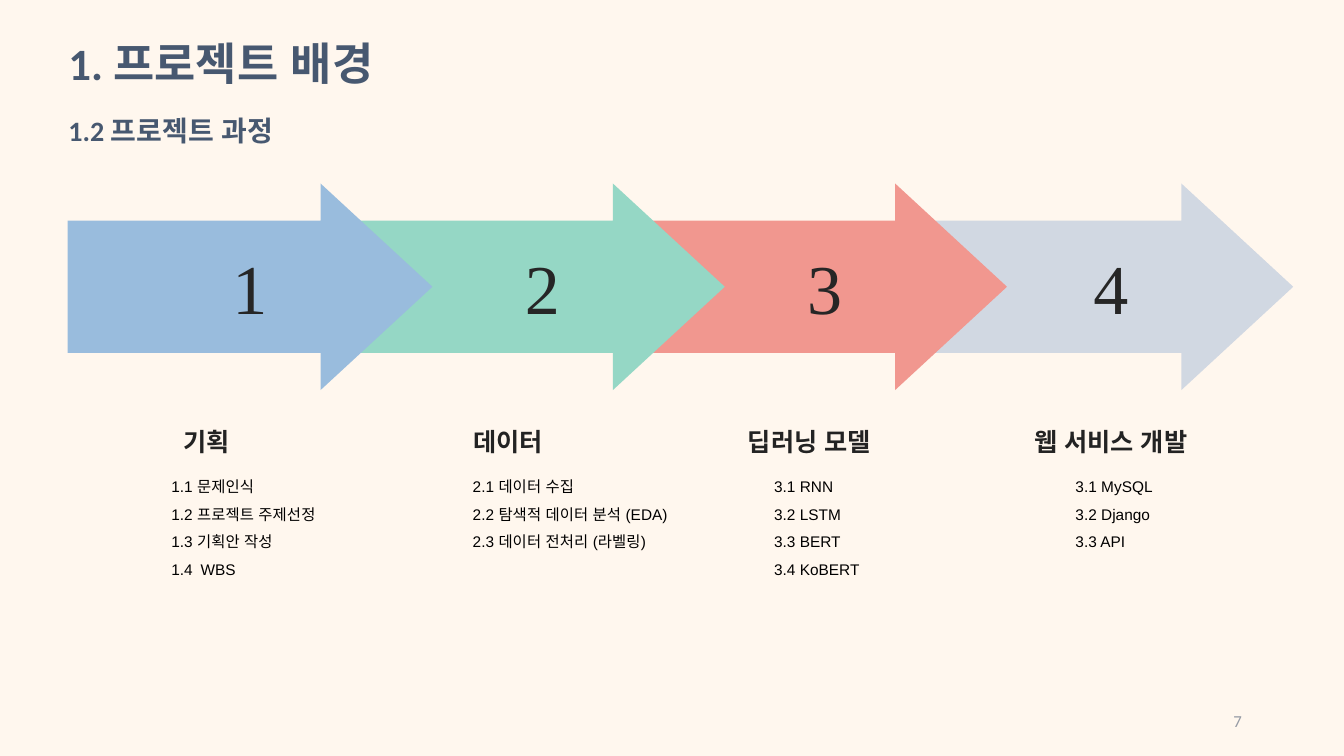
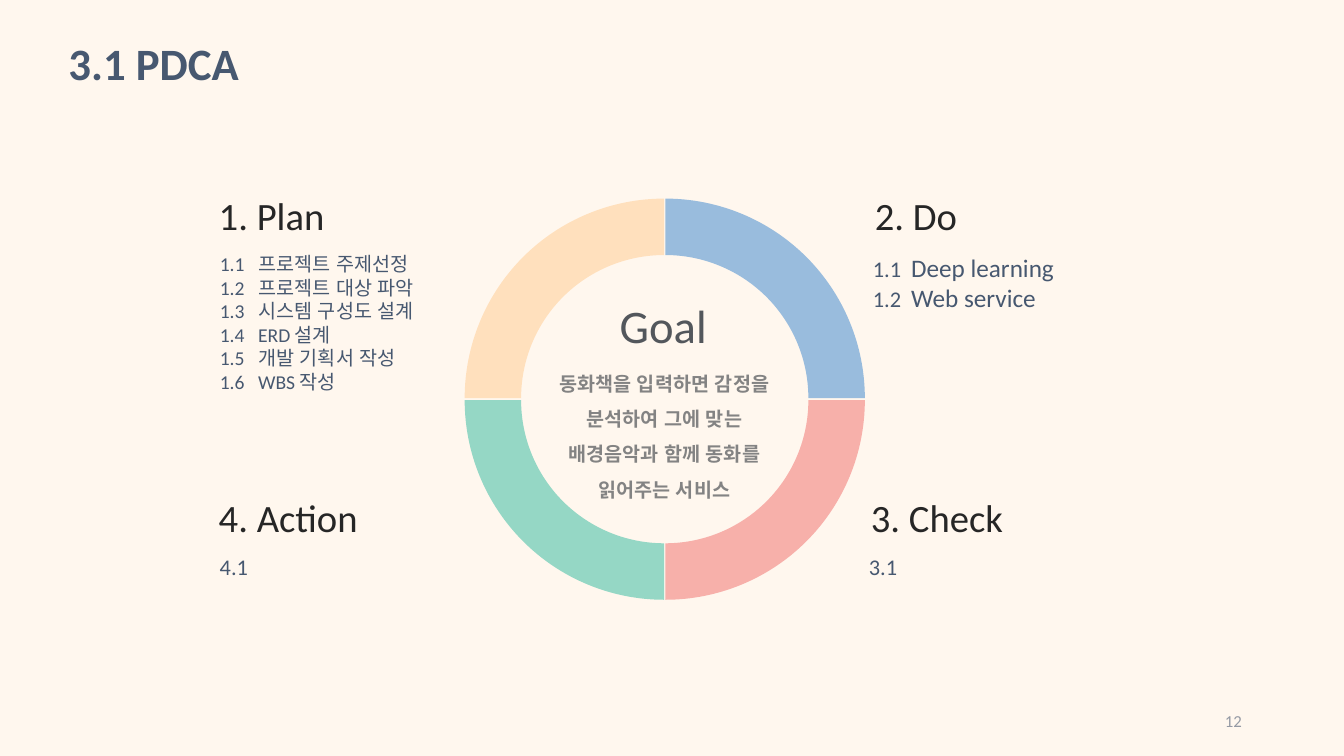
from math import cos, pi, sin, tan

from lxml.etree import SubElement
from pptx import Presentation
from pptx.dml.color import RGBColor
from pptx.enum.text import MSO_ANCHOR, PP_ALIGN
from pptx.oxml.ns import qn
from pptx.util import Inches, Pt

# Shared look
CREAM, NAVY, DARK, BLACK = "FFF7EE", "475870", "262626", "000000"
HEADING, GREY, PAGE_GREY = "232323", "838383", "959AA4"
BLUE, GREEN, CORAL, SILVER = "99BCDD", "95D7C5", "F1978F", "D1D8E2"
PINK, PEACH = "F7B0AA", "FFE0BD"
GOAL_STOPS = [(0.21, "53575C"), (0.88, "C5C7CA")]
KOREAN_FONT = "Arial"

# Process slide: arrow left, colour, heading, list width, steps
PHASES = [
    (0.67, BLUE, "기획", 2.76,
     ["1.1 문제인식", "1.2 프로젝트 주제선정", "1.3 기획안 작성", "1.4\tWBS"]),
    (3.57, GREEN, "데이터", 3.12,
     ["2.1 데이터 수집", "2.2 탐색적 데이터 분석 (EDA)", "2.3 데이터 전처리 (라벨링)"]),
    (6.37, CORAL, "딥러닝 모델", 2.76,
     ["3.1 RNN", "3.2 LSTM", "3.3 BERT", "3.4 KoBERT"]),
    (9.21, SILVER, "웹 서비스 개발", 2.76,
     ["3.1 MySQL", "3.2 Django", "3.3 API"]),
]
ARROW_TOP, ARROW_W, ARROW_H = 1.82, 3.62, 2.05
SHAFT_W, SHAFT_INSET = 2.51, 0.37
COLUMN_LEFT, COLUMN_W, COLUMN_PITCH = 0.67, 2.76, 2.99

# PDCA slide: heading, heading left and top, list box, size, items
STAGES = [
    ("1. Plan", 2.14, 1.96, (2.14, 2.46, 2.39, 1.49), 14,
     ["1.1\t프로젝트 주제선정", "1.2\t프로젝트 대상 파악", "1.3\t시스템 구성도 설계",
      "1.4\tERD 설계", "1.5\t개발 기획서 작성", "1.6\tWBS 작성"]),
    ("2. Do", 8.65, 1.96, (8.62, 2.46, 2.43, 1.02), 16,
     [[("1.1\t", 16), ("Deep learning", 18)], [("1.2\t", 16), ("Web service", 18)]]),
    ("3. Check", 8.61, 4.96, (8.58, 5.45, 2.43, 1.02), 16, ["3.1"]),
    ("4. Action", 2.14, 4.96, (2.14, 5.45, 2.43, 1.02), 16, ["4.1"]),
]
GOAL = "동화책을 입력하면 감정을 분석하여 그에 맞는 배경음악과 함께 동화를 읽어주는 서비스"
# Ring quarters: corner nearest the centre, start in quarter turns, colour
QUARTERS = [
    (6.59, 3.95, 2, PEACH),
    (6.6, 3.95, 3, BLUE),
    (6.6, 3.97, 0, PINK),
    (6.59, 3.97, 1, GREEN),
]
OUTER_R, INNER_R = 1.98, 1.42


def rgb(value):
    return RGBColor.from_string(value)


def write(sp, paras, size, color, font="Calibri", bold=False, inset=None,
          align=PP_ALIGN.LEFT, anchor=MSO_ANCHOR.TOP, spacing=None, tabs=()):
    """Fill a shape; a paragraph is a string or a list of (text, size) runs."""
    tf = sp.text_frame
    tf.word_wrap = True
    tf.vertical_anchor = anchor
    if inset is not None:
        tf.margin_left = tf.margin_right = Inches(inset)
        tf.margin_top = tf.margin_bottom = Inches(inset)
    for i, para in enumerate(paras):
        p = tf.add_paragraph() if i else tf.paragraphs[0]
        p.alignment = align
        if spacing:
            p.line_spacing = spacing
        if tabs:
            stops = SubElement(p._p.get_or_add_pPr(), qn("a:tabLst"))
            for tab in tabs:
                SubElement(stops, qn("a:tab"), pos=str(Inches(tab)), algn="l")
        for text, run_size in [(para, size)] if isinstance(para, str) else para:
            r = p.add_run()
            r.text = text
            r.font.name, r.font.size, r.font.bold = font, Pt(run_size), bold
            r.font.color.rgb = rgb(color)
            SubElement(r._r.get_or_add_rPr(), qn("a:ea"), typeface=KOREAN_FONT)
    return sp


def add_text(s, box, paras, size, color, **style):
    sp = s.shapes.add_textbox(*map(Inches, box))
    return write(sp, paras, size, color, **style)


def add_outline(s, points, color):
    points = [(Inches(x), Inches(y)) for x, y in points]
    builder = s.shapes.build_freeform(*points[0])
    builder.add_line_segments(points[1:], close=True)
    sp = builder.convert_to_shape()
    sp.shadow.inherit = False
    sp.fill.solid()
    sp.fill.fore_color.rgb = rgb(color)
    sp.line.fill.background()
    return sp


def add_slide(prs, title, page):
    s = prs.slides.add_slide(prs.slide_layouts[6])
    s.background.fill.solid()
    s.background.fill.fore_color.rgb = rgb(CREAM)
    add_text(s, (0.58, 0.37, 5.02, 0.71), [title], 32, NAVY, bold=True, spacing=0.9)
    add_text(s, (9.42, 6.95, 3, 0.4), [page], 12, PAGE_GREY,
             align=PP_ALIGN.RIGHT, anchor=MSO_ANCHOR.MIDDLE)
    return s


def arrow_points(left):
    neck, tip = left + SHAFT_W, left + ARROW_W
    top, bottom = ARROW_TOP, ARROW_TOP + ARROW_H
    upper, lower = top + SHAFT_INSET, bottom - SHAFT_INSET
    return [(neck, top), (neck, upper), (left, upper), (left, lower),
            (neck, lower), (neck, bottom), (tip, (top + bottom) / 2)]


def arc_points(cx, cy, radius, start, sweep):
    """Start point, then two cubic curves of three points each."""
    step = sweep / 2
    pull = 4 / 3 * tan(step / 4)
    points = [(cx + radius * cos(start), cy + radius * sin(start))]
    for a in (start, start + step):
        b = a + step
        for c, d in ((cos(a) - pull * sin(a), sin(a) + pull * cos(a)),
                     (cos(b) + pull * sin(b), sin(b) - pull * cos(b)),
                     (cos(b), sin(b))):
            points.append((cx + radius * c, cy + radius * d))
    return points


def add_quarter(s, cx, cy, turns, color):
    start = turns * pi / 2
    outer = arc_points(cx, cy, OUTER_R, start, pi / 2)
    inner = arc_points(cx, cy, INNER_R, start + pi / 2, -pi / 2)
    sp = add_outline(s, outer + inner, color)
    # Join each three points of an arc into one curve
    lines = list(sp._element.iter(qn("a:lnTo")))
    for first in (0, 3, 7, 10):
        trio = lines[first:first + 3]
        trio[0].tag = qn("a:cubicBezTo")
        for line in trio[1:]:
            trio[0].append(line[0])
            line.getparent().remove(line)


def build_process(prs):
    s = add_slide(prs, "1. 프로젝트 배경", "7")
    add_text(s, (0.58, 1.08, 9.02, 0.44), ["1.2 프로젝트 과정"], 20, NAVY, bold=True)
    # Arrows overlap, so the last goes at the back
    for number, (left, color, *_) in reversed(list(enumerate(PHASES, 1))):
        sp = add_outline(s, arrow_points(left), color)
        write(sp, [str(number)], 50, DARK, font="Times New Roman", inset=0.03,
              align=PP_ALIGN.CENTER, anchor=MSO_ANCHOR.MIDDLE)
    # Headings and steps
    for i, (_, _, heading, width, steps) in enumerate(PHASES):
        x = COLUMN_LEFT + i * COLUMN_PITCH
        add_text(s, (x, 4.19, COLUMN_W, 0.42), [heading], 18, HEADING, font="Arial",
                 bold=True, inset=0.04, align=PP_ALIGN.CENTER)
        add_text(s, (x, 4.61, width, 1.13), ["\t" + step for step in steps], 11, BLACK,
                 font="Arial", inset=0.03, spacing=1.5, tabs=(1, 1.29))


def build_pdca(prs):
    s = add_slide(prs, "3.1 PDCA", "12")
    # Ring
    for quarter in QUARTERS:
        add_quarter(s, *quarter)
    # Goal in the middle
    goal = add_text(s, (5.44, 2.98, 2.28, 0.58), ["Goal"], 33.3, GOAL_STOPS[0][1],
                    inset=0.03, align=PP_ALIGN.CENTER, spacing=0.9)
    fill = goal.text_frame.paragraphs[0].runs[0].font.fill
    fill.gradient()
    fill.gradient_angle = 270
    for stop, (position, color) in zip(fill.gradient_stops, GOAL_STOPS):
        stop.position = position
        stop.color.rgb = rgb(color)
    add_text(s, (5.4, 3.53, 2.38, 1.49), [GOAL], 14, GREY, bold=True, inset=0.04,
             align=PP_ALIGN.CENTER, spacing=1.5)
    # Stages around the ring
    for heading, left, top, box, size, items in STAGES:
        add_text(s, (left, top, 2.12, 0.44), [heading], 27.6, DARK,
                 inset=0.03, spacing=0.8)
        add_text(s, box, items, size, NAVY, inset=0.04, tabs=(0.38,))


def main():
    prs = Presentation()
    prs.slide_width, prs.slide_height = Inches(40) // 3, Inches(7.5)
    build_process(prs)
    build_pdca(prs)
    prs.save("out.pptx")


if __name__ == "__main__":
    main()
